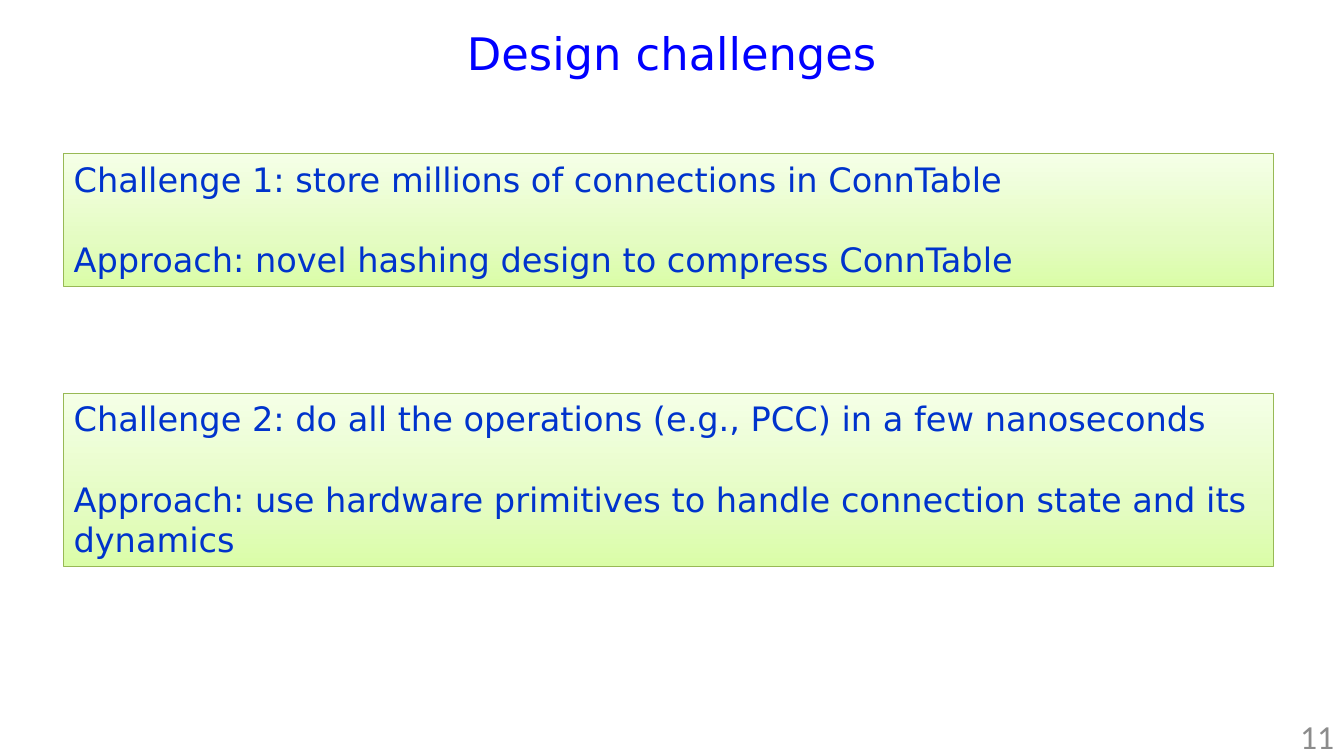
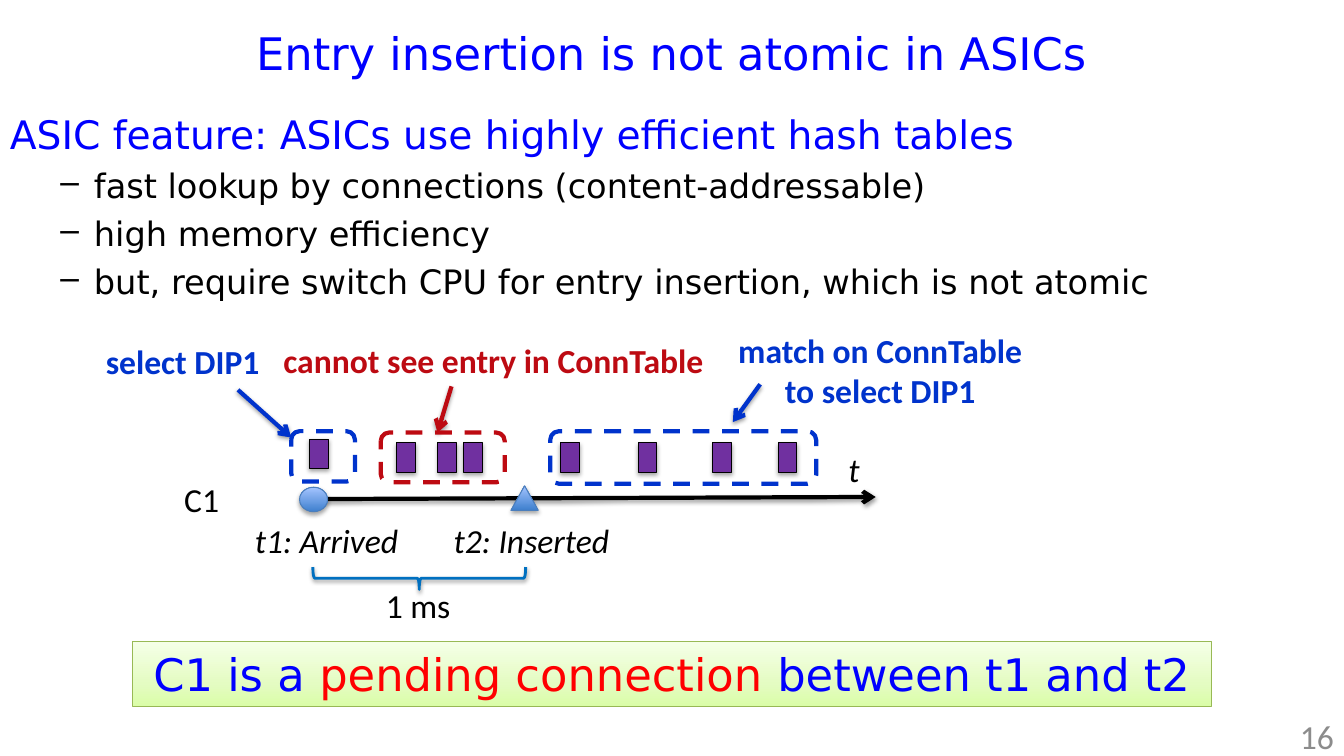
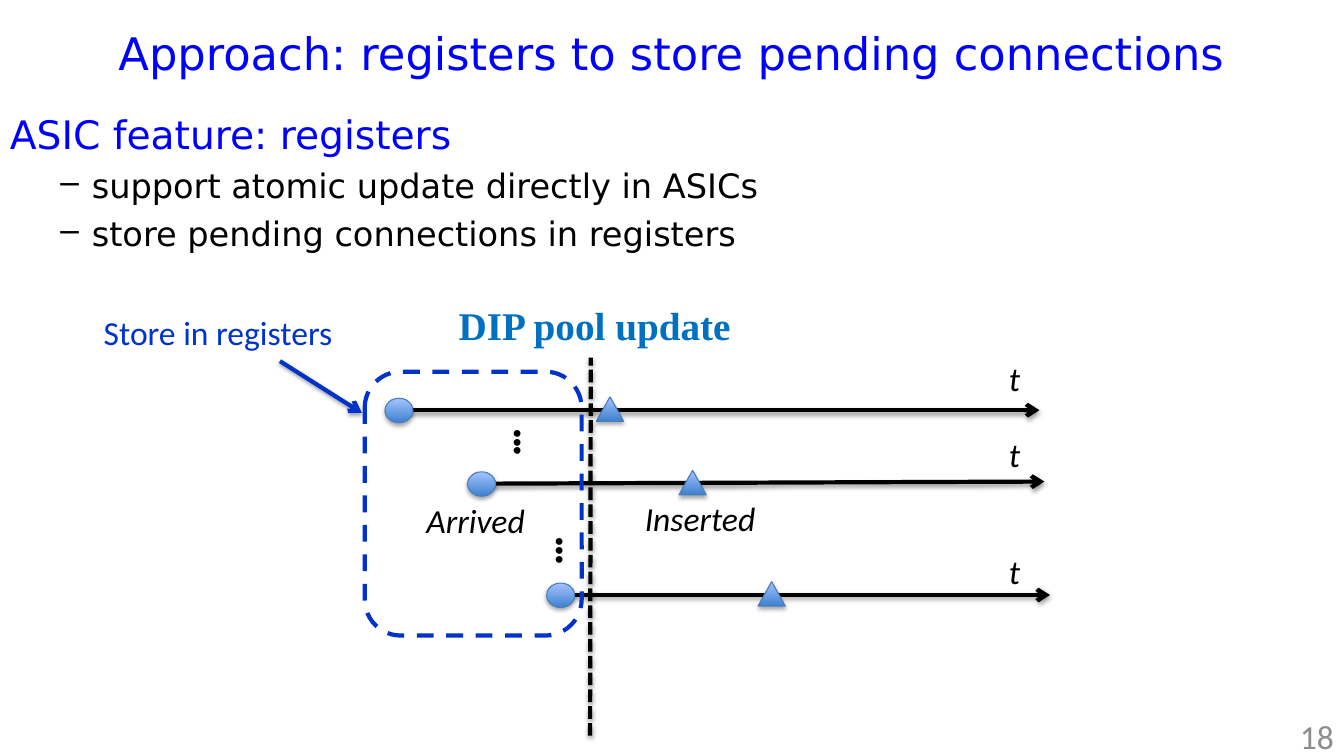
from dataclasses import dataclass
from typing import Any, NamedTuple

from lxml.etree import SubElement
from pptx import Presentation
from pptx.dml.color import RGBColor
from pptx.enum.dml import MSO_LINE
from pptx.enum.shapes import MSO_CONNECTOR, MSO_SHAPE
from pptx.enum.text import MSO_ANCHOR, MSO_AUTO_SIZE, PP_ALIGN
from pptx.oxml.ns import qn
from pptx.util import Pt

# Shared look
BLACK, GREY, RED = "000000", "8C8C8C", "FF0000"
TITLE_BLUE, NOTE_BLUE, SKY_BLUE = "0000FF", "0033CC", "0070C0"
DARK_RED, PURPLE = "BD0A12", "7030A0"
GREEN_EDGE, MARKER_EDGE = "98B955", "4B7EBC"
GREEN_STOPS = ((0, "DAFDA7"), (35, "E4FCC2"), (100, "F5FFE7"))
MARKER_STOPS = ((0, "3F80CE"), (100, "A4C4FF"))
HEADING_FONT, LABEL_FONT = "DejaVu Sans", "Calibri"
SLIDE_WIDTH, SLIDE_HEIGHT, TITLE_HEIGHT = 960, 540, 75

Stops = tuple[tuple[int, str], ...]


class Box(NamedTuple):
    left: float
    top: float
    width: float
    height: float

    def lengths(self) -> list[Pt]:
        return [Pt(value) for value in self]


class Segment(NamedTuple):
    start_x: float
    start_y: float
    end_x: float
    end_y: float


@dataclass(frozen=True)
class TextStyle:
    size: float = 24
    name: str = LABEL_FONT
    color: str = BLACK
    bold: bool = False
    italic: bool = False


@dataclass(frozen=True)
class Line:
    runs: tuple[tuple[str, TextStyle], ...]
    space_before: float = 0
    margin: float = 0
    hanging: float = 0


@dataclass(frozen=True)
class Timeline:
    axis: Segment
    label_left: float
    label_top: float


@dataclass(frozen=True)
class Callout:
    lines: tuple[str, ...]
    color: str
    label: Box
    arrow: Segment
    frame: Box
    bold: bool = True


TITLE = TextStyle(32, HEADING_FONT, TITLE_BLUE)
ALERT = TextStyle(32, HEADING_FONT, RED)
HEADING = TextStyle(28, HEADING_FONT, TITLE_BLUE)
BULLET = TextStyle(24, HEADING_FONT)
CHALLENGE = TextStyle(24, HEADING_FONT, NOTE_BLUE)
PAGE_NUMBER = TextStyle(color=GREY)
LABEL = TextStyle()
ITALIC = TextStyle(italic=True)
DOTS = TextStyle(18, "Arial")
UPDATE = TextStyle(28, "Times New Roman", SKY_BLUE, bold=True)


# Formatting
def rgb(color: str) -> RGBColor:
    return RGBColor.from_string(color)


def apply_format(target: Any, values: dict[str, Any]) -> None:
    for name, value in values.items():
        setattr(target, name, value)


def line_of(text: str, style: TextStyle, space_before: float = 0) -> Line:
    return Line(((text, style),), space_before)


def write_text(shape: Any, lines: list[Line], align: PP_ALIGN = PP_ALIGN.LEFT,
               anchor: MSO_ANCHOR = MSO_ANCHOR.TOP, wrap: bool = True) -> None:
    frame = shape.text_frame
    apply_format(frame, {"word_wrap": wrap, "vertical_anchor": anchor,
                         "auto_size": MSO_AUTO_SIZE.NONE})
    for index, line in enumerate(lines):
        paragraph = frame.add_paragraph() if index else frame.paragraphs[0]
        apply_format(paragraph, {"alignment": align,
                                 "space_before": Pt(line.space_before)})
        if line.hanging:
            properties = paragraph._p.get_or_add_pPr()
            properties.set("marL", str(Pt(line.margin)))
            properties.set("indent", str(-Pt(line.hanging)))
            SubElement(properties, qn("a:buChar"), char="–")
        for text, style in line.runs:
            run = paragraph.add_run()
            run.text = text
            apply_format(run.font, {"size": Pt(style.size), "name": style.name,
                                    "bold": style.bold, "italic": style.italic})
            run.font.color.rgb = rgb(style.color)


def set_gradient(shape: Any, stops: Stops) -> None:
    shape.fill.gradient()
    shape.fill.gradient_angle = 90
    stop_list = shape._element.spPr.find(qn("a:gradFill")).find(qn("a:gsLst"))
    for stop in list(stop_list):
        stop_list.remove(stop)
    for position, color in stops:
        stop = SubElement(stop_list, qn("a:gs"), pos=str(position * 1000))
        SubElement(stop, qn("a:srgbClr"), val=color)


def add_shadow(shape: Any, opacity: int, distance: float) -> None:
    effects = shape._element.spPr.find(qn("a:effectLst"))
    shadow = SubElement(effects, qn("a:outerShdw"), blurRad=str(Pt(3.1)),
                        dist=str(Pt(distance)), dir="5400000", rotWithShape="0")
    color = SubElement(shadow, qn("a:srgbClr"), val=BLACK)
    SubElement(color, qn("a:alpha"), val=str(opacity * 1000))


# Building blocks
def add_text(slide: Any, box: Box, lines: list[Line], align: PP_ALIGN = PP_ALIGN.LEFT,
             anchor: MSO_ANCHOR = MSO_ANCHOR.TOP, wrap: bool = True) -> Any:
    text_box = slide.shapes.add_textbox(*box.lengths())
    write_text(text_box, lines, align, anchor, wrap)
    return text_box


def add_label(slide: Any, box: Box, text: str, style: TextStyle = ITALIC) -> None:
    add_text(slide, box, [line_of(text, style)], wrap=False)


def add_figure(slide: Any, kind: MSO_SHAPE, box: Box, edge: str, width: float = 0.75,
               fill: str | Stops | None = None, rotation: float = 0) -> Any:
    shape = slide.shapes.add_shape(kind, *box.lengths())
    shape.rotation = rotation
    if fill is None:
        shape.fill.background()
    elif isinstance(fill, str):
        shape.fill.solid()
        shape.fill.fore_color.rgb = rgb(fill)
    else:
        set_gradient(shape, fill)
    shape.line.color.rgb = rgb(edge)
    shape.line.width = Pt(width)
    shape.shadow.inherit = False
    return shape


def add_line(slide: Any, segment: Segment, color: str = BLACK, arrow: bool = True) -> Any:
    connector = slide.shapes.add_connector(
        MSO_CONNECTOR.STRAIGHT, *[Pt(value) for value in segment])
    connector.line.color.rgb = rgb(color)
    connector.line.width = Pt(3)
    if arrow:
        SubElement(connector.line._get_or_add_ln(), qn("a:tailEnd"), type="arrow")
    SubElement(connector._element.spPr, qn("a:effectLst"))
    add_shadow(connector, 38, 1.6)
    return connector


def add_panel(slide: Any, box: Box, lines: list[Line],
              align: PP_ALIGN = PP_ALIGN.LEFT) -> None:
    panel = add_figure(slide, MSO_SHAPE.RECTANGLE, box, GREEN_EDGE, fill=GREEN_STOPS)
    write_text(panel, lines, align)


def add_timeline(slide: Any, timeline: Timeline) -> None:
    add_line(slide, timeline.axis)
    x, y = timeline.axis.start_x, timeline.axis.start_y
    markers = ((MSO_SHAPE.OVAL, Box(x - 10, y - 8.5, 20, 17.5)),
               (MSO_SHAPE.ISOSCELES_TRIANGLE, Box(x + 141, y - 9.5, 19.5, 17.5)))
    for kind, box in markers:
        marker = add_figure(slide, kind, box, MARKER_EDGE, fill=MARKER_STOPS)
        add_shadow(marker, 35, 1.8)
    add_label(slide, Box(timeline.label_left, timeline.label_top, 22.5, 36), "t")


def add_callout(slide: Any, callout: Callout) -> None:
    add_line(slide, callout.arrow, callout.color)
    style = TextStyle(color=callout.color, bold=callout.bold)
    add_text(slide, callout.label, [line_of(text, style) for text in callout.lines],
             PP_ALIGN.CENTER)
    frame = add_figure(slide, MSO_SHAPE.ROUNDED_RECTANGLE, callout.frame,
                       callout.color, 3)
    frame.line.dash_style = MSO_LINE.DASH


def add_body(slide: Any, height: float, heading: str, bullets: list[str],
             margin: float, hanging: float) -> None:
    lines = [line_of(heading, HEADING)]
    lines += [Line(((text, BULLET),), 5.6, margin, hanging) for text in bullets]
    add_text(slide, Box(0, TITLE_HEIGHT, SLIDE_WIDTH, height), lines)


def add_titled_slide(presentation: Any, title: str, number: int,
                     side_margin: float = 0, number_width: float = 224) -> Any:
    layout = presentation.slide_layouts.get_by_name("Title Only")
    slide = presentation.slides.add_slide(layout)
    placeholder = slide.shapes.title
    apply_format(placeholder, {
        "left": Pt(side_margin), "top": Pt(0),
        "width": Pt(SLIDE_WIDTH - 2 * side_margin), "height": Pt(TITLE_HEIGHT)})
    write_text(placeholder, [line_of(title, TITLE)], PP_ALIGN.CENTER, MSO_ANCHOR.MIDDLE)
    add_text(slide, Box(SLIDE_WIDTH - number_width, 511, number_width, 29),
             [line_of(str(number), PAGE_NUMBER)], PP_ALIGN.RIGHT, MSO_ANCHOR.MIDDLE)
    return slide


presentation = Presentation()
apply_format(presentation, {"slide_width": Pt(SLIDE_WIDTH),
                            "slide_height": Pt(SLIDE_HEIGHT)})

# Design challenges
slide = add_titled_slide(presentation, "Design challenges", 11, 120, 168)
challenges = (
    (110, 94.5, "Challenge 1: store millions of connections in ConnTable",
     "Approach: novel hashing design to compress ConnTable"),
    (281, 124, "Challenge 2: do all the operations (e.g., PCC) in a few nanoseconds",
     "Approach: use hardware primitives to handle connection state and its dynamics"),
)
for top, height, challenge, approach in challenges:
    add_panel(slide, Box(45.5, top, 864, height),
              [line_of(challenge, CHALLENGE), line_of(approach, CHALLENGE, 28.5)])

# Entry insertion
slide = add_titled_slide(presentation, "Entry insertion is not atomic in ASICs", 16)
add_body(slide, 256, "ASIC feature: ASICs use highly efficient hash tables",
         ["fast lookup by connections (content-addressable)", "high memory efficiency",
          "but, require switch CPU for entry insertion, which is not atomic"], 60, 24)
add_timeline(slide, Timeline(Segment(224, 356.5, 625.5, 355), 599, 317))
add_label(slide, Box(175, 368, 118, 36), "t1: Arrived")
add_label(slide, Box(317, 368, 126.5, 36), "t2: Inserted")
add_label(slide, Box(124.5, 338.5, 39.5, 36), "C1", LABEL)
brace = add_figure(slide, MSO_SHAPE.LEFT_BRACE, Box(291.5, 337, 16, 152),
                   SKY_BLUE, 2, rotation=270)
add_shadow(brace, 38, 1.6)
add_label(slide, Box(268.5, 414, 61, 36), "1 ms", LABEL)

packets = ((217.5, 317.5), (279.5, 320), (327.5, 320), (309, 320),
           (396.5, 320), (452, 320), (505.5, 320), (552, 320))
for left, top in packets:
    packet = add_figure(slide, MSO_SHAPE.RECTANGLE, Box(left, top, 21, 13.5),
                        BLACK, fill=PURPLE, rotation=90)
    add_shadow(packet, 35, 1.8)

add_panel(slide, Box(94.5, 458.5, 771, 46),
          [Line((("C1 is a ", TITLE), ("pending connection ", ALERT),
                 ("between t1 and t2", TITLE)))], PP_ALIGN.CENTER)
callouts = (
    Callout(("match on ConnTable", "to select DIP1"), NOTE_BLUE,
            Box(457, 232, 343.5, 65.5), Segment(543, 274.5, 523.5, 301.5),
            Box(393, 308, 190, 37.5)),
    Callout(("cannot see entry in ConnTable",), DARK_RED,
            Box(176.5, 239, 352, 36), Segment(322.5, 276, 312.5, 309),
            Box(272, 309, 88.5, 35.5)),
    Callout(("select DIP1",), NOTE_BLUE,
            Box(47, 240, 167, 36), Segment(170, 278.5, 208, 312.5),
            Box(208, 308, 45.5, 36)),
)
for callout in callouts:
    add_callout(slide, callout)

# Registers
slide = add_titled_slide(
    presentation, "Approach: registers to store pending connections", 18)
add_body(slide, 408, "ASIC feature: registers",
         ["support atomic update directly in ASICs",
          "store pending connections in registers"], 58.5, 22.5)
add_label(slide, Box(297.5, 353.5, 85.5, 36), "Arrived")
add_label(slide, Box(453.5, 352, 94.5, 36), "Inserted")
update_line = add_line(slide, Segment(421.5, 525.5, 422, 255.5), arrow=False)
update_line.line.dash_style = MSO_LINE.SQUARE_DOT
add_label(slide, Box(320.5, 211.5, 214.5, 41), "DIP pool update", UPDATE)
for left, top in ((362, 401), (332, 323.5)):
    dots = add_text(slide, Box(left, top, 77, 29), [line_of("•••", DOTS)])
    dots.rotation = 90
timelines = (
    Timeline(Segment(344, 345.5, 746, 344), 713.5, 306.5),
    Timeline(Segment(400.5, 425, 750, 425), 713.5, 390),
    Timeline(Segment(285, 293, 742.5, 293), 713.5, 252),
)
for timeline in timelines:
    add_timeline(slide, timeline)
add_callout(slide, Callout(
    ("Store in registers",), NOTE_BLUE, Box(65, 219.5, 181.5, 36),
    Segment(200, 258, 258.5, 295), Box(260.5, 265.5, 155, 188.5), bold=False))

presentation.save("out.pptx")
